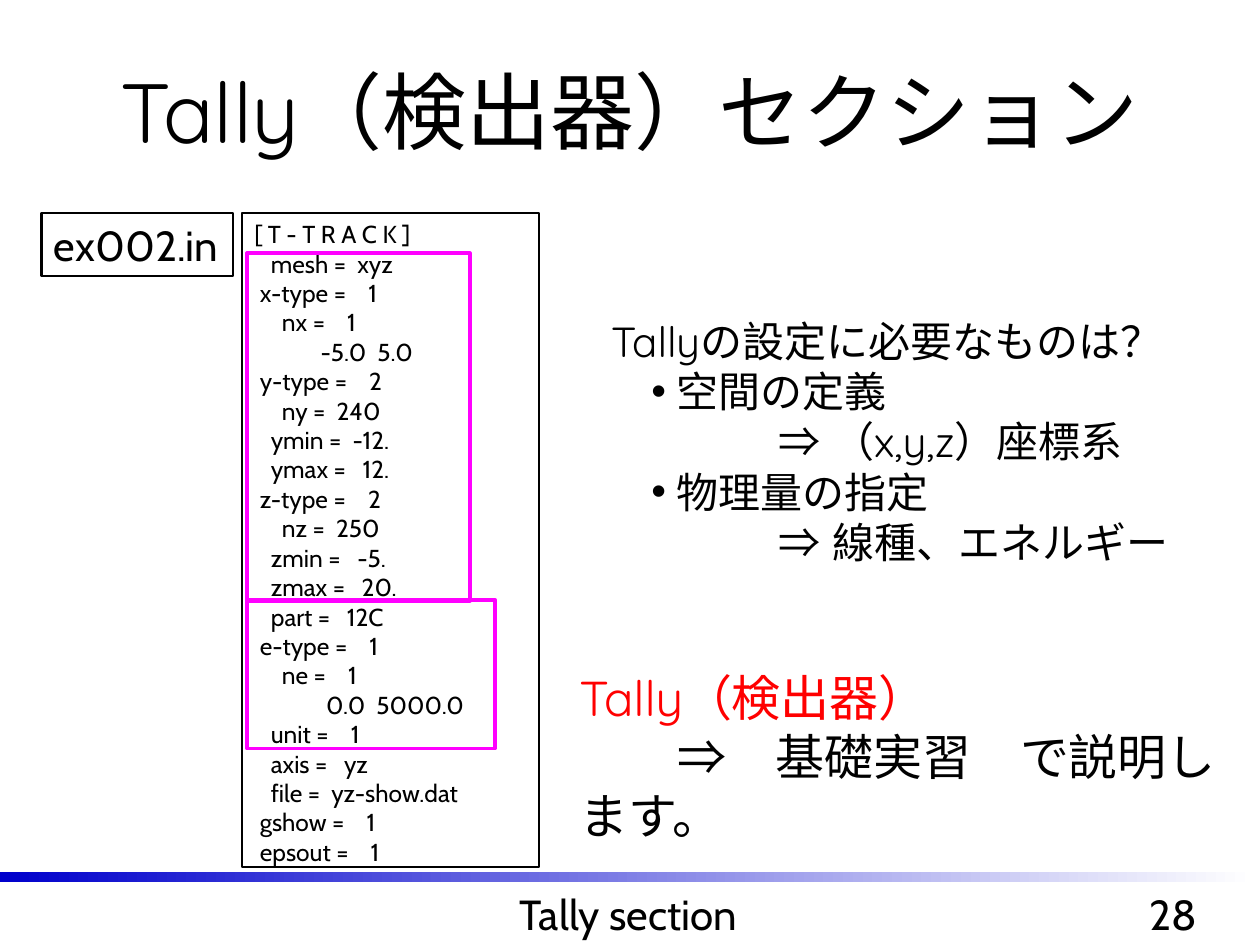
from dataclasses import dataclass

import pptx
import pptx.dml.color
import pptx.enum.dml
import pptx.enum.shapes
import pptx.enum.text
import pptx.oxml
import pptx.oxml.ns
import pptx.util

Inches = pptx.util.Inches
Pt = pptx.util.Pt
ALIGN = pptx.enum.text.PP_ALIGN
ANCHOR = pptx.enum.text.MSO_ANCHOR

BLACK, WHITE, RED, BLUE, MAGENTA = "000000", "FFFFFF", "FF0000", "0000CC", "FF00FF"
PLAIN, ROUND = "Cabin", "Quicksand"

TALLY_INPUT = """[ T - T R A C K ]
   mesh =  xyz
 x-type =    1
     nx =    1
            -5.0  5.0
 y-type =    2
     ny =  240
   ymin =  -12.
   ymax =   12.
 z-type =    2
     nz =  250
   zmin =   -5.
   zmax =   20.
   part =   12C
 e-type =    1
     ne =    1
             0.0  5000.0
   unit =    1
   axis =   yz
   file =  yz-show.dat
 gshow =    1
 epsout =    1"""


@dataclass
class Box:
    left: float
    top: float
    width: float
    height: float

    def lengths(self) -> tuple:
        return tuple(map(Inches, (self.left, self.top, self.width, self.height)))


@dataclass
class Line:
    text: str
    color: str = BLACK
    margin: float = 0
    indent: float = 0
    bullet: str = ""


@dataclass
class Frame:
    box: Box
    line_color: str
    line_width: float
    fill_color: str = ""


def rgb(value: str) -> pptx.dml.color.RGBColor:
    return pptx.dml.color.RGBColor.from_string(value)


def apply(target, values: dict) -> None:
    for name, value in values.items():
        setattr(target, name, value)


def write(shape, lines: list, size: float, font: str, align=ALIGN.LEFT,
          anchor=ANCHOR.TOP, wrap: bool = True) -> None:
    """Fill a shape with one paragraph for each line."""
    frame = shape.text_frame
    apply(frame, {
        "word_wrap": wrap, "vertical_anchor": anchor,
        "auto_size": pptx.enum.text.MSO_AUTO_SIZE.NONE,
        "margin_left": Inches(0.1), "margin_right": Inches(0.1),
        "margin_top": Inches(0.05), "margin_bottom": Inches(0.05),
    })
    for number, line in enumerate(lines):
        paragraph = frame.paragraphs[0] if number == 0 else frame.add_paragraph()
        apply(paragraph, {"alignment": align, "space_before": Pt(0)})
        # Indents and bullet
        properties = paragraph._p.get_or_add_pPr()
        properties.set("marL", str(Inches(line.margin)))
        properties.set("indent", str(Inches(line.indent)))
        bullet = pptx.oxml.parse_xml(
            f"<a:{'buChar' if line.bullet else 'buNone'} {pptx.oxml.ns.nsdecls('a')}/>")
        if line.bullet:
            bullet.set("char", line.bullet)
        properties.append(bullet)
        # Text, with the same typeface for Latin and Japanese
        run = paragraph.add_run()
        run.text = line.text
        apply(run.font, {"size": Pt(size), "name": font})
        run.font.color.rgb = rgb(line.color)
        run.font._element.append(pptx.oxml.parse_xml(
            f'<a:ea {pptx.oxml.ns.nsdecls("a")} typeface="{font}"/>'))


def add_frame(slide, frame: Frame):
    shape = slide.shapes.add_shape(
        pptx.enum.shapes.MSO_SHAPE.RECTANGLE, *frame.box.lengths())
    shape.shadow.inherit = False
    if frame.fill_color:
        shape.fill.solid()
        shape.fill.fore_color.rgb = rgb(frame.fill_color)
    else:
        shape.fill.background()
    shape.line.color.rgb = rgb(frame.line_color)
    shape.line.width = Pt(frame.line_width)
    return shape


def add_footer_rule(slide, box: Box) -> None:
    rule = slide.shapes.add_shape(
        pptx.enum.shapes.MSO_SHAPE.RECTANGLE, *box.lengths())
    rule.shadow.inherit = False
    rule.line.fill.background()
    rule.fill.gradient()
    rule.fill.gradient_angle = 0
    for stop, color, position in zip(rule.fill.gradient_stops, (BLUE, WHITE), (0, 1)):
        stop.color.rgb = rgb(color)
        stop.position = position


def place(shape, box: Box) -> None:
    apply(shape, dict(zip(("left", "top", "width", "height"), box.lengths())))


def main() -> None:
    deck = pptx.Presentation()
    apply(deck, {"slide_width": Inches(10), "slide_height": Inches(7.5)})
    slide = deck.slides.add_slide(deck.slide_layouts[1])

    # Title
    title = slide.shapes.title
    place(title, Box(0.25, 0.25, 9.5, 1.25))
    write(title, [Line("Tally（検出器）セクション")], 48, ROUND, ALIGN.CENTER, ANCHOR.MIDDLE)

    # What a tally needs
    needs = slide.placeholders[1]
    place(needs, Box(4.75, 2.45, 4.86, 2.1))
    topic = {"margin": 0.52, "indent": -0.2, "bullet": "•"}
    write(needs, [
        Line("Tallyの設定に必要なものは？"),
        Line("空間の定義", **topic),
        Line("⇒ （x,y,z）座標系", margin=1.33),
        Line("物理量の指定", **topic),
        Line("⇒ 線種、エネルギー", margin=1.33),
    ], 24, ROUND)

    # Footer
    add_footer_rule(slide, Box(0, 6.92, 9.96, 0.08))
    for text, box in (("Tally section", Box(2.4, 7, 5.17, 0.5)),
                      ("28", Box(8.92, 7, 0.79, 0.5))):
        write(slide.shapes.add_textbox(*box.lengths()), [Line(text)], 24, PLAIN, ALIGN.CENTER)

    # Input file name and its listing
    file_name = add_frame(slide, Frame(Box(0.33, 1.69, 1.52, 0.5), BLACK, 1.5))
    write(file_name, [Line("ex002.in")], 24, PLAIN, wrap=False)
    listing = add_frame(slide, Frame(Box(1.92, 1.69, 2.36, 5.19), BLACK, 1.5, WHITE))
    write(listing, [Line(text) for text in TALLY_INPUT.splitlines()], 14, PLAIN)

    # Closing remark
    remark = slide.shapes.add_textbox(*Box(4.5, 5.25, 5.42, 1.5).lengths())
    write(remark, [
        Line("Tally（検出器）", RED),
        Line("⇒　基礎実習　で説明します。", indent=0.78),
    ], 28, ROUND)

    # Highlights: space definition, then physical quantity
    for box in (Box(1.96, 2.01, 1.77, 2.76), Box(1.96, 4.76, 1.97, 1.18)):
        add_frame(slide, Frame(box, MAGENTA, 2))

    deck.save("out.pptx")


if __name__ == "__main__":
    main()
